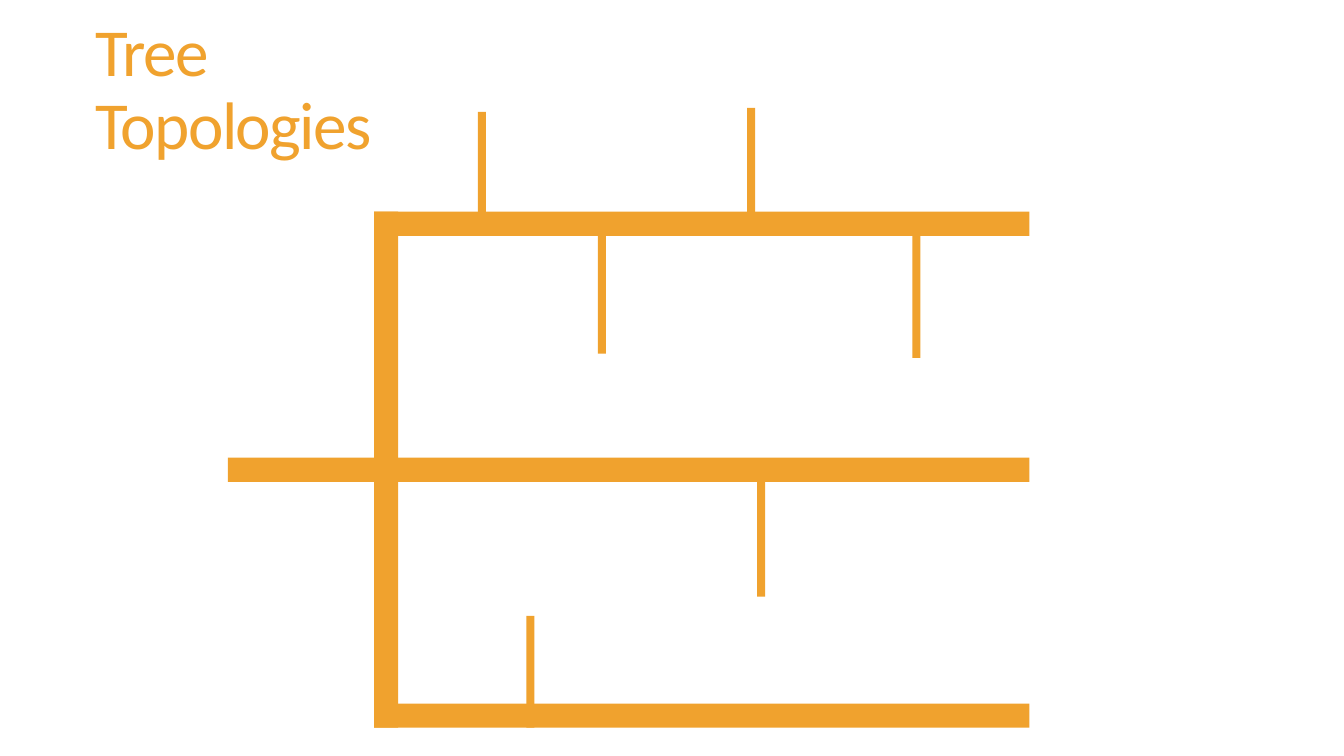
import pptx
import pptx.util
import pptx.dml.color
import pptx.enum.shapes
import pptx.enum.text

Inches = pptx.util.Inches
GOLD = "F0A22E"
THICK = 0.24
THIN = 0.08


def color(code):
    return pptx.dml.color.RGBColor.from_string(code)


def bar(slide, left, top, width, height):
    shape = slide.shapes.add_shape(
        pptx.enum.shapes.MSO_SHAPE.RECTANGLE,
        Inches(left), Inches(top), Inches(width), Inches(height))
    shape.shadow.inherit = False
    shape.fill.solid()
    shape.fill.fore_color.rgb = color(GOLD)
    shape.line.fill.background()


def head(slide, left, top, width, height):
    title = slide.shapes.title
    title.left, title.top = Inches(left), Inches(top)
    title.width, title.height = Inches(width), Inches(height)
    frame = title.text_frame
    frame.word_wrap = True
    frame.auto_size = pptx.enum.text.MSO_AUTO_SIZE.NONE
    frame.vertical_anchor = pptx.enum.text.MSO_ANCHOR.MIDDLE
    para = frame.paragraphs[0]
    para.alignment = pptx.enum.text.PP_ALIGN.LEFT
    para.line_spacing = 0.9
    run = para.add_run()
    run.text = "Tree Topologies"
    run.font.name = "Calibri"
    run.font.size = pptx.util.Pt(48)
    run.font.color.rgb = color(GOLD)
    # Tighter letters, in hundredths of a point
    run.font._element.set("spc", "-120")


def tree(slide, left, top, width, height):
    trunk = left + 1.45
    right = left + width
    step = (height - THICK) / 2

    # Trunk
    bar(slide, trunk, top, THICK, height)

    # Branches: the middle one also reaches out to the left
    for row, start in enumerate((trunk, left, trunk)):
        bar(slide, start, top + row * step, right - start, THICK)

    # Nodes: centre from left, start from top, length
    nodes = [
        (2.52, -0.99, 1.06),
        (5.19, -1.03, 1.06),
        (3.71, 0.11, 1.3),
        (6.83, 0.15, 1.3),
        (5.29, 2.52, 1.3),
        (3.0, 4.01, 1.11),
    ]
    for mid, start, size in nodes:
        bar(slide, left + mid - THIN / 2, top + start, THIN, size)


def main():
    deck = pptx.Presentation()
    deck.slide_width = Inches(13.33)
    deck.slide_height = Inches(7.5)
    # Title-only layout
    slide = deck.slides.add_slide(deck.slide_layouts[5])
    slide.background.fill.solid()
    slide.background.fill.fore_color.rgb = color("FFFFFF")
    tree(slide, 2.26, 2.1, 7.95, 5.12)
    head(slide, 0.85, 0, 3.3, 1.81)
    deck.save("out.pptx")


if __name__ == "__main__":
    main()
